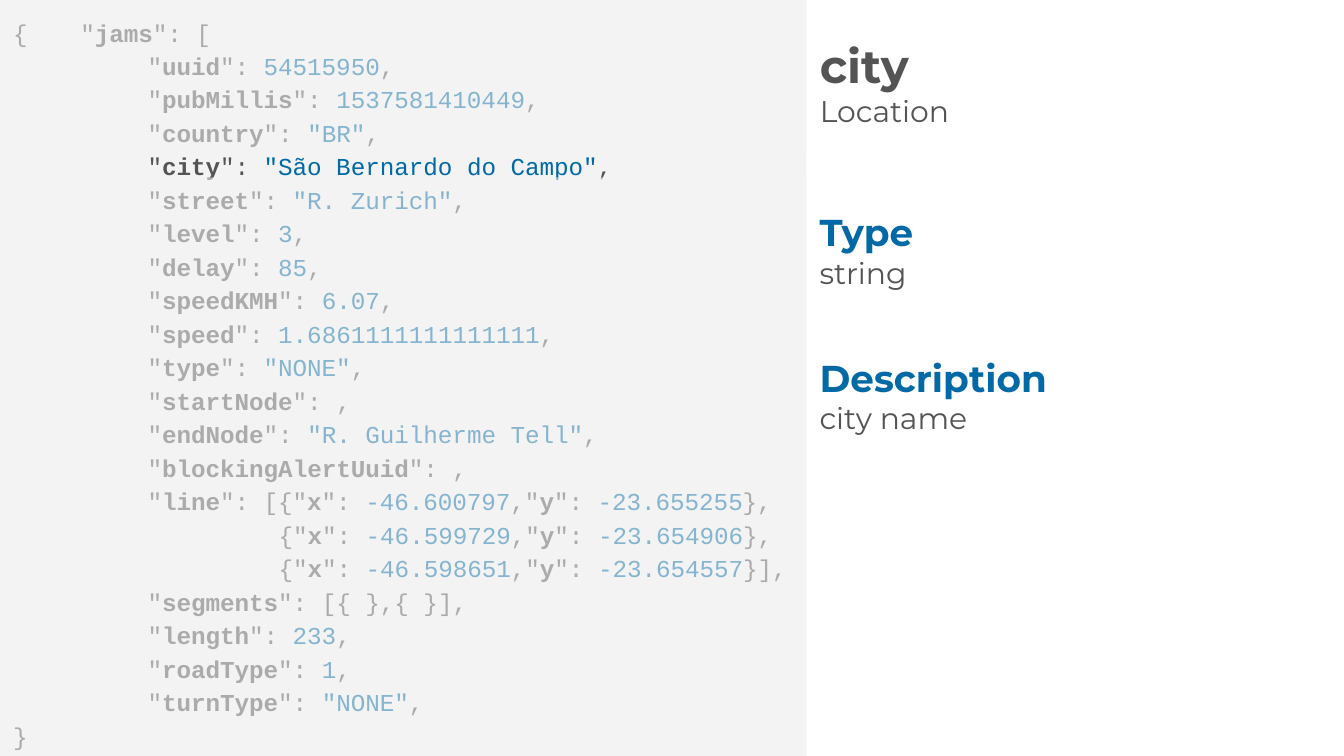
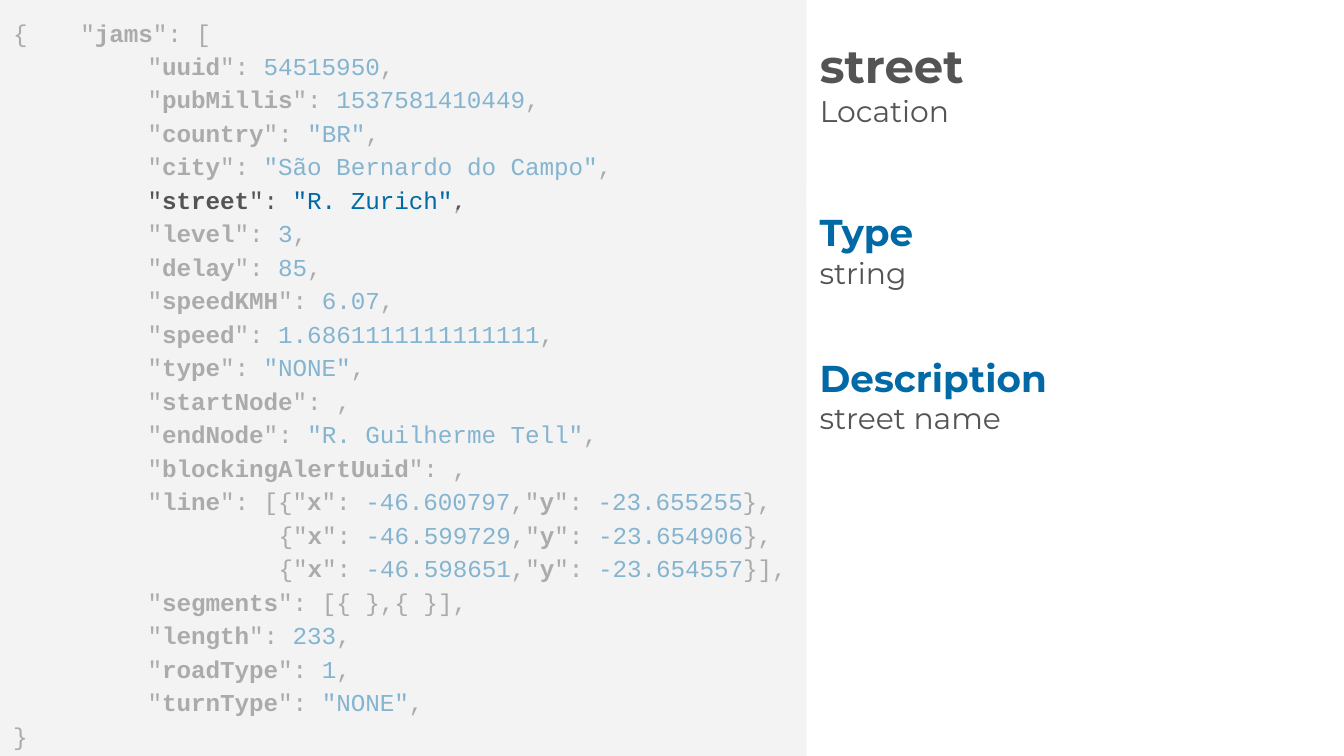
"""Build two slides that each explain one highlighted field of a traffic jam record."""

from dataclasses import dataclass

from lxml import etree
from pptx import Presentation
from pptx.dml.color import RGBColor
from pptx.enum.shapes import MSO_SHAPE
from pptx.enum.text import MSO_ANCHOR, MSO_AUTO_SIZE, PP_ALIGN
from pptx.oxml.ns import qn
from pptx.util import Pt

RECTANGLE = MSO_SHAPE.RECTANGLE
TOP, MIDDLE = MSO_ANCHOR.TOP, MSO_ANCHOR.MIDDLE
NO_AUTO_SIZE = MSO_AUTO_SIZE.NONE
LEFT = PP_ALIGN.LEFT

WHITE = RGBColor(0xFF, 0xFF, 0xFF)
PANEL = RGBColor(0xF3, 0xF3, 0xF3)
INK = RGBColor(0x54, 0x54, 0x54)
BLUE = RGBColor(0x00, 0x69, 0xA6)

EMU_PER_PX = 4572
SLIDE_WIDTH, SLIDE_HEIGHT = 2000, 1125
PANEL_WIDTH = 1200
INSET = 20
FIELD_INDENT, POINT_INDENT = 200, 395
FIRST_ROW_TOP, ROW_PITCH, ROW_HEIGHT = 28, 48, 44
VEIL_ALPHA = 55000
TITLE_ONLY_LAYOUT = 5

CODE = {"name": "Courier New", "size": Pt(13), "bold": False, "color": INK}
CODE_KEY = {**CODE, "bold": True}
CODE_VALUE = {**CODE, "color": BLUE}
BODY = {"name": "Montserrat", "size": Pt(16), "bold": False, "color": INK}
FIELD_NAME = {**BODY, "size": Pt(25), "bold": True}
HEADING = {**BODY, "size": Pt(20), "bold": True, "color": BLUE}


@dataclass(frozen=True)
class Box:
    left: int
    top: int
    width: int
    height: int


@dataclass(frozen=True)
class Member:
    key: str
    value: str = ""
    tail: str = ","
    lead: str = '"'
    separator: str = '": '


@dataclass(frozen=True)
class CodeLine:
    members: tuple[Member, ...]
    indent: int = FIELD_INDENT


@dataclass(frozen=True)
class FieldSlide:
    name: str
    category: str
    data_type: str
    description: str


def field(key: str, value: str = "", tail: str = ",") -> CodeLine:
    """Return a line that holds one member."""
    return CodeLine((Member(key, value, tail),))


def point(x: str, y: str, tail: str) -> tuple[Member, Member]:
    """Return the two members of a coordinate pair."""
    return Member("x", x, lead='{"'), Member("y", y, tail)


RECORD = (
    CodeLine((Member("jams", tail="[", lead='{\t"'),), 0),
    field("uuid", "54515950"),
    field("pubMillis", "1537581410449"),
    field("country", '"BR"'),
    field("city", '"São Bernardo do Campo"'),
    field("street", '"R. Zurich"'),
    field("level", "3"),
    field("delay", "85"),
    field("speedKMH", "6.07"),
    field("speed", "1.6861111111111111"),
    field("type", '"NONE"'),
    field("startNode"),
    field("endNode", '"R. Guilherme Tell"'),
    field("blockingAlertUuid"),
    CodeLine((Member("line", tail="["), *point("-46.600797", "-23.655255", "},"))),
    CodeLine(point("-46.599729", "-23.654906", "},"), POINT_INDENT),
    CodeLine(point("-46.598651", "-23.654557", "}],"), POINT_INDENT),
    field("segments", tail="[{ },{ }],"),
    field("length", "233"),
    field("roadType", "1"),
    field("turnType", '"NONE"'),
    CodeLine((Member("", tail="", lead="}", separator=""),), 0),
)

FIELD_SLIDES = (
    FieldSlide("city", "Location", "string", "city name"),
    FieldSlide("street", "Location", "string", "street name"),
)


def px(length: int) -> int:
    """Convert pixels to EMU."""
    return length * EMU_PER_PX


def bounds(box: Box) -> tuple[int, int, int, int]:
    """Return the box in EMU."""
    return px(box.left), px(box.top), px(box.width), px(box.height)


def add_run(paragraph, text: str, style: dict) -> None:
    """Add a run with the given font values."""
    run = paragraph.add_run()
    run.text = text
    for attribute, value in style.items():
        if attribute == "color":
            run.font.color.rgb = value
        else:
            setattr(run.font, attribute, value)


def prepare_frame(shape, anchor=TOP):
    """Set wrapping, anchor and insets, and return the text frame."""
    settings = {"word_wrap": True, "auto_size": NO_AUTO_SIZE, "vertical_anchor": anchor}
    settings |= {f"margin_{side}": px(INSET) for side in ("left", "top", "right", "bottom")}
    for attribute, value in settings.items():
        setattr(shape.text_frame, attribute, value)
    return shape.text_frame


def write_lines(frame, lines: list[list[tuple[str, dict]]]) -> None:
    """Write one left-aligned paragraph for each list of styled runs."""
    for index, runs in enumerate(lines):
        paragraph = frame.add_paragraph() if index else frame.paragraphs[0]
        paragraph.alignment = LEFT
        for text, style in runs:
            if text:
                add_run(paragraph, text, style)


def add_panel(slide, box: Box):
    """Add a plain grey rectangle."""
    shape = slide.shapes.add_shape(RECTANGLE, *bounds(box))
    shape.shadow.inherit = False
    shape.fill.solid()
    shape.fill.fore_color.rgb = PANEL
    shape.line.fill.background()
    return shape


def add_veil(slide, top: int, bottom: int) -> None:
    """Fade the code between two heights."""
    shape = add_panel(slide, Box(0, top, PANEL_WIDTH, bottom - top))
    color = shape.fill._xPr.find(qn("a:solidFill"))[0]
    etree.SubElement(color, qn("a:alpha"), val=str(VEIL_ALPHA))


def indent_line(paragraph, indent: int) -> None:
    """Set the spacing, indent and field tab stop of a code line."""
    paragraph.line_spacing = 1.15
    properties = paragraph._p.get_or_add_pPr()
    properties.set("marL", str(px(indent)))
    properties.set("indent", "0")
    if not indent:
        tabs = etree.SubElement(properties, qn("a:tabLst"))
        etree.SubElement(tabs, qn("a:tab"), pos=str(px(FIELD_INDENT)), algn="l")


def add_code(slide) -> None:
    """Add the code panel with the whole record."""
    frame = prepare_frame(add_panel(slide, Box(0, 0, PANEL_WIDTH, SLIDE_HEIGHT)))
    write_lines(frame, [
        [
            run
            for member in line.members
            for run in (
                (member.lead, CODE),
                (member.key, CODE_KEY),
                (member.separator, CODE),
                (member.value, CODE_VALUE),
                (member.tail, CODE),
            )
        ]
        for line in RECORD
    ])
    for paragraph, line in zip(frame.paragraphs, RECORD):
        indent_line(paragraph, line.indent)


def add_title(slide, content: FieldSlide) -> None:
    """Place the field name and its category in the title."""
    title = slide.shapes.title
    edges = bounds(Box(PANEL_WIDTH, 31, 800, 184))
    for attribute, value in zip(("left", "top", "width", "height"), edges):
        setattr(title, attribute, value)
    write_lines(
        prepare_frame(title, MIDDLE),
        [[(content.name, FIELD_NAME)], [(content.category, BODY)]],
    )


def add_text(slide, box: Box, text: str, style: dict) -> None:
    """Add a one-line text box."""
    shape = slide.shapes.add_textbox(*bounds(box))
    write_lines(prepare_frame(shape), [[(text, style)]])


def add_field_slide(presentation, content: FieldSlide) -> None:
    """Add the slide for one field."""
    slide = presentation.slides.add_slide(presentation.slide_layouts[TITLE_ONLY_LAYOUT])
    slide.background.fill.solid()
    slide.background.fill.fore_color.rgb = WHITE
    add_code(slide)
    add_title(slide, content)
    details = (
        ("Type", content.data_type, 292, 359, 720),
        ("Description", content.description, 509, 575, 738),
    )
    for heading, text, heading_top, text_top, text_width in details:
        add_text(slide, Box(PANEL_WIDTH, heading_top, 386, 100), heading, HEADING)
        add_text(slide, Box(PANEL_WIDTH, text_top, text_width, 174), text, BODY)
    row = [line.members[0].key for line in RECORD].index(content.name)
    row_top = FIRST_ROW_TOP + row * ROW_PITCH
    add_veil(slide, row_top + ROW_HEIGHT, SLIDE_HEIGHT)
    add_veil(slide, 0, row_top)


def main() -> None:
    """Build and save the presentation."""
    presentation = Presentation()
    presentation.slide_width = px(SLIDE_WIDTH)
    presentation.slide_height = px(SLIDE_HEIGHT)
    for content in FIELD_SLIDES:
        add_field_slide(presentation, content)
    presentation.save("out.pptx")


if __name__ == "__main__":
    main()
